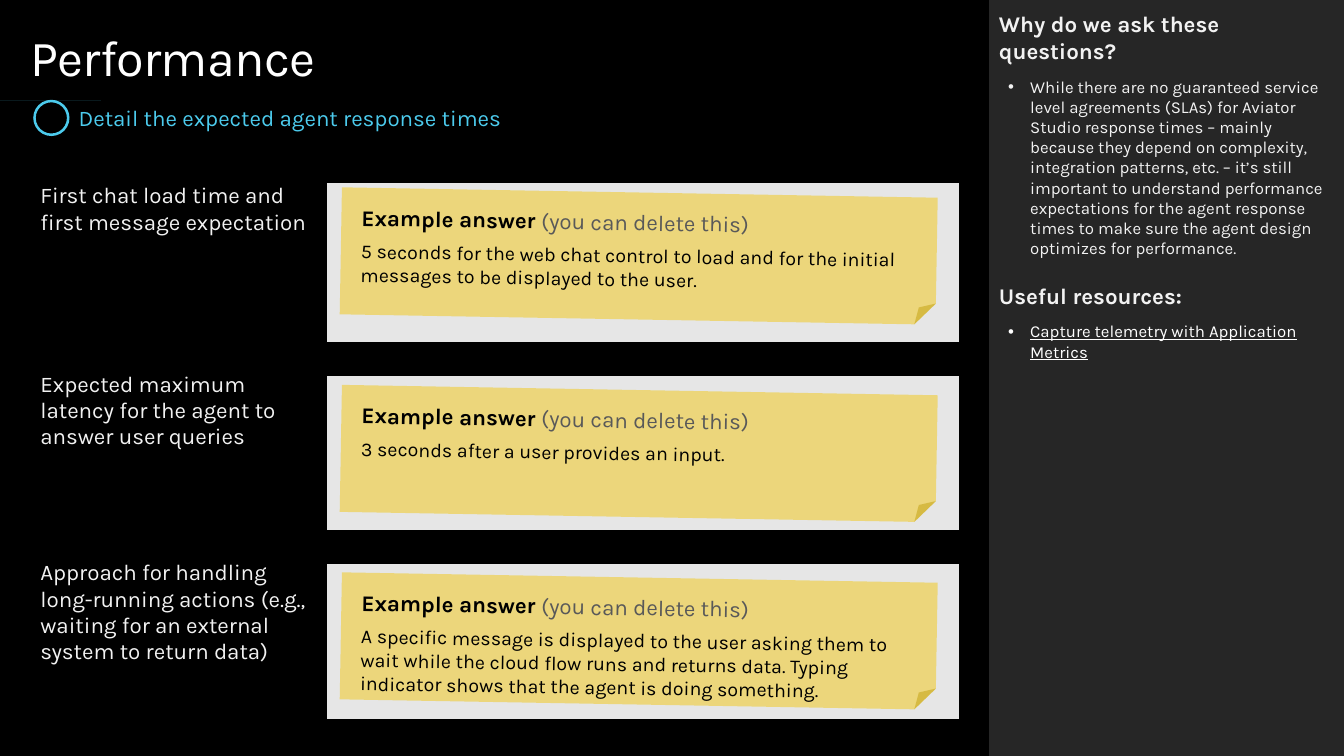
from dataclasses import dataclass

from lxml import etree
from pptx import Presentation
from pptx.dml.color import RGBColor
from pptx.enum.shapes import MSO_SHAPE
from pptx.enum.text import MSO_ANCHOR, PP_ALIGN
from pptx.oxml.ns import qn
from pptx.util import Inches, Pt

RECTANGLE = MSO_SHAPE.RECTANGLE
RING = MSO_SHAPE.DONUT
STICKY = MSO_SHAPE.FOLDED_CORNER
TOP, MIDDLE = MSO_ANCHOR.TOP, MSO_ANCHOR.MIDDLE
LEFT = PP_ALIGN.LEFT

FONT = "Karla"
NO_TABLE_STYLE = "{2D5ABB26-0587-4C30-8999-92F81FD0307C}"
COLORS = {
    "black": "000000",
    "white": "FFFFFF",
    "sidebar": "262626",
    "accent": "4CCBED",
    "light": "F2F2F2",
    "answer": "E6E6E6",
    "note": "F2C811",
    "hint": "595959",
}


@dataclass(frozen=True)
class Question:
    prompt: str
    example: str
    note_top: float


@dataclass(frozen=True)
class SidebarEntry:
    heading: str
    bullet: str
    space_before: float
    color: str
    underline: bool


QUESTIONS = [
    Question("First chat load time and first message expectation",
             "5 seconds for the web chat control to load and for the initial "
             "messages to be displayed to the user.", 1.91),
    Question("Expected maximum latency for the agent to answer user queries",
             "3 seconds after a user provides an input.", 3.87),
    Question("Approach for handling long-running actions (e.g., waiting for an "
             "external system to return data)",
             "A specific message is displayed to the user asking them to wait while "
             "the cloud flow runs and returns data. Typing indicator shows that the "
             "agent is doing something.", 5.73),
]

SIDEBAR = [
    SidebarEntry("Why do we ask these questions?",
                 "While there are no guaranteed service level agreements (SLAs) for "
                 "Aviator Studio response times – mainly because they depend on "
                 "complexity, integration patterns, etc. – it’s still important to "
                 "understand performance expectations for the agent response times to "
                 "make sure the agent design optimizes for performance.",
                 0, "light", False),
    SidebarEntry("Useful resources:", "Capture telemetry with Application Metrics",
                 17, "white", True),
]

CHECK_MARK = [(0.58, 1.1), (0.53, 1.14), (0.49, 1.18), (0.45, 1.15), (0.42, 1.18),
              (0.48, 1.23), (0.5, 1.24), (0.51, 1.22), (0.56, 1.17), (0.61, 1.13)]


def rgb(color: str) -> RGBColor:
    return RGBColor.from_string(COLORS[color])


def add_run(paragraph, text: str, size: float, color: str, bold: bool = False):
    run = paragraph.add_run()
    run.text = text
    run.font.name = FONT
    run.font.size = Pt(size)
    run.font.bold = bold
    run.font.color.rgb = rgb(color)
    return run


def set_frame(frame, inset_x: float, inset_y: float, anchor=TOP) -> None:
    frame.word_wrap = True
    frame.vertical_anchor = anchor
    frame.margin_left = frame.margin_right = Inches(inset_x)
    frame.margin_top = frame.margin_bottom = Inches(inset_y)


def add_text_frame(slide, box: tuple, inset: float = 0, anchor=TOP):
    frame = slide.shapes.add_textbox(*map(Inches, box)).text_frame
    set_frame(frame, inset, inset, anchor)
    return frame


def paint(shape, color: str):
    shape.shadow.inherit = False
    shape.fill.solid()
    shape.fill.fore_color.rgb = rgb(color)
    shape.line.fill.background()
    return shape


def add_header(slide) -> None:
    title = add_text_frame(slide, (0.3, 0.26, 9.21, 0.61))
    title_run = add_run(title.paragraphs[0], "Performance", 36, "white")
    title_run.font._element.set("spc", "-50")

    subtitle = add_text_frame(slide, (0.78, 1.03, 8.73, 0.27), anchor=MIDDLE)
    add_run(subtitle.paragraphs[0], "Detail the expected agent response times",
            16, "accent")

    ring = slide.shapes.add_shape(RING, *map(Inches, (0.33, 0.99, 0.36, 0.36)))
    ring.adjustments[0] = 0.07
    paint(ring, "accent")
    outline = slide.shapes.build_freeform(*CHECK_MARK[0], scale=Inches(1))
    outline.add_line_segments(CHECK_MARK[1:], close=True)
    paint(outline.convert_to_shape(), "accent")


def add_sidebar(slide) -> None:
    panel = slide.shapes.add_shape(RECTANGLE, *map(Inches, (9.81, 0, 3.53, 7.5)))
    paint(panel, "sidebar")
    frame = add_text_frame(slide, (9.81, 0, 3.53, 3.49), inset=0.1)
    for index, entry in enumerate(SIDEBAR):
        heading = frame.add_paragraph() if index else frame.paragraphs[0]
        heading.space_before = Pt(entry.space_before)
        heading.space_after = Pt(6)
        add_run(heading, entry.heading, 16, "light", bold=True)

        bullet = frame.add_paragraph()
        properties = bullet._p.get_or_add_pPr()
        properties.set("marL", str(Inches(0.31)))
        properties.set("indent", str(Inches(-0.22)))
        etree.SubElement(properties, qn("a:buFont"), typeface="Arial")
        etree.SubElement(properties, qn("a:buChar"), char="•")
        bullet.space_before = Pt(3)
        add_run(bullet, entry.bullet, 12, entry.color).font.underline = entry.underline


def add_border(cell, side: str) -> None:
    line = etree.SubElement(cell._tc.get_or_add_tcPr(), qn(f"a:{side}"), w=str(Pt(6)))
    fill = etree.SubElement(line, qn("a:solidFill"))
    etree.SubElement(fill, qn("a:srgbClr"), val=COLORS["black"])


def add_question_table(slide) -> None:
    row_count = 2 * len(QUESTIONS) - 1
    frame = slide.shapes.add_table(row_count, 2, *map(Inches, (0.4, 1.82, 9.11, 5.35)))
    for style in frame._element.iter(qn("a:tableStyleId")):
        style.text = NO_TABLE_STYLE
    table = frame.table
    table.first_row = table.horz_banding = False
    for column, width in zip(table.columns, (2.84, 6.27)):
        column.width = Inches(width)
    for index, row in enumerate(table.rows):
        is_spacer = index % 2 == 1
        row.height = Inches(0.26 if is_spacer else 1.61)
        for cell, color in zip(row.cells, ("black", "black" if is_spacer else "answer")):
            cell.margin_left = cell.margin_top = cell.margin_bottom = 0
            cell.margin_right = Inches(0.1)
            if index:
                add_border(cell, "lnT")
            add_border(cell, "lnB")
            cell.fill.solid()
            cell.fill.fore_color.rgb = rgb(color)
            paragraph = cell.text_frame.paragraphs[0]
            if color == "black" and not is_spacer:
                add_run(paragraph, QUESTIONS[index // 2].prompt, 16, "light")
            else:
                etree.SubElement(paragraph._p, qn("a:endParaRPr"), sz="800")


def add_note(slide, question: Question) -> None:
    box = (3.38, question.note_top, 5.91, 1.26)
    note = paint(slide.shapes.add_shape(STICKY, *map(Inches, box)), "note")
    note.rotation = 1
    for color in note._element.spPr.iter(qn("a:srgbClr")):
        etree.SubElement(color, qn("a:alpha"), val="50000")
    frame = note.text_frame
    set_frame(frame, 0.2, 0.16)
    heading, answer = frame.paragraphs[0], frame.add_paragraph()
    for paragraph in (heading, answer):
        paragraph.alignment = LEFT
        paragraph.space_after = Pt(6)
    add_run(heading, "Example answer ", 16, "black", bold=True)
    add_run(heading, "(you can delete this)", 16, "hint")
    add_run(answer, question.example, 14, "black")


def main() -> None:
    deck = Presentation()
    deck.slide_width, deck.slide_height = Inches(13.33), Inches(7.5)
    slide = deck.slides.add_slide(deck.slide_layouts[6])
    slide.background.fill.solid()
    slide.background.fill.fore_color.rgb = rgb("black")
    add_sidebar(slide)
    add_header(slide)
    add_question_table(slide)
    for question in QUESTIONS:
        add_note(slide, question)
    deck.save("out.pptx")


if __name__ == "__main__":
    main()
